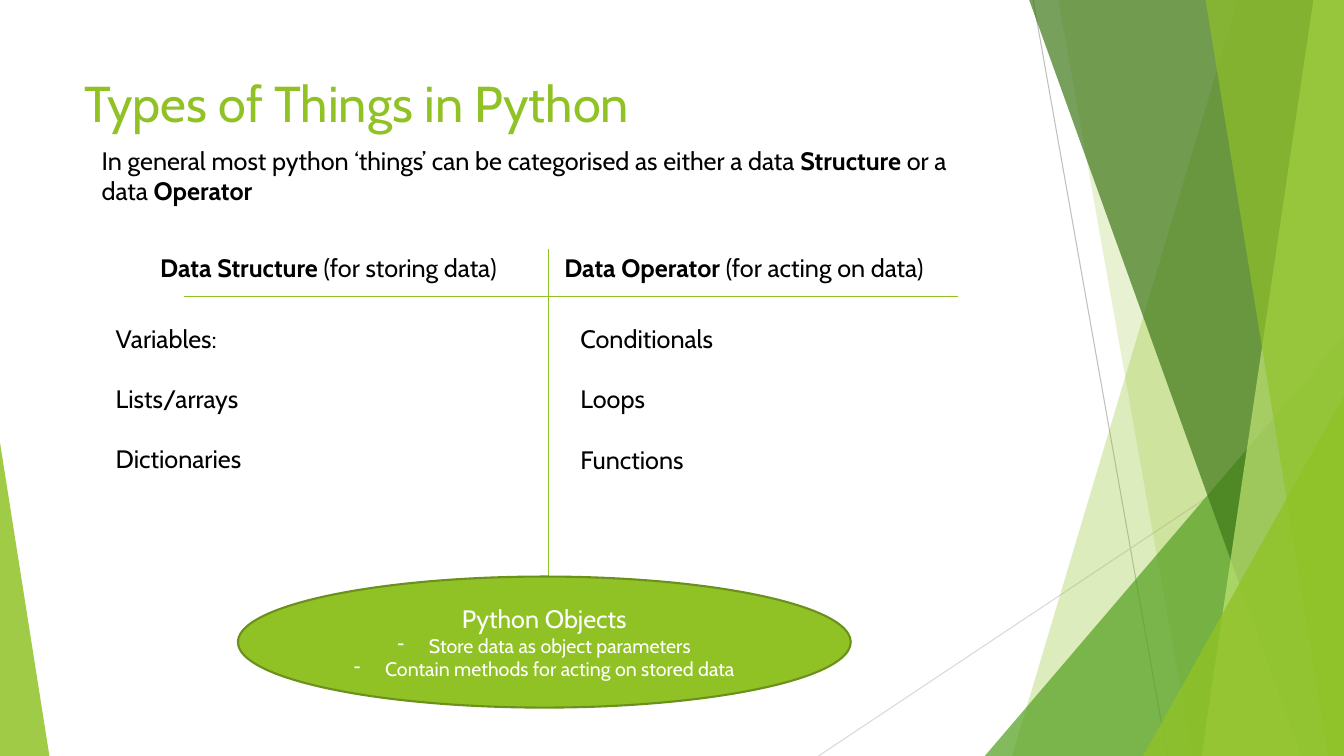
from dataclasses import dataclass

from lxml.etree import SubElement
from pptx import Presentation
from pptx.dml.color import RGBColor
from pptx.enum.shapes import MSO_CONNECTOR, MSO_SHAPE
from pptx.enum.text import MSO_ANCHOR, PP_ALIGN
from pptx.oxml.ns import qn
from pptx.util import Inches, Pt

COLUMNS, ROWS = 40, 30
WIDTH, HEIGHT = Inches(13.333), Inches(7.5)


@dataclass(frozen=True)
class Theme:
    font: str = "Cabin"
    lime: str = "90C226"
    green: str = "54A021"
    forest: str = "3F7819"
    pale: str = "C0E474"
    olive: str = "6B901C"
    grey: str = "BFBFBF"
    light_grey: str = "D9D9D9"
    black: str = "000000"
    white: str = "FFFFFF"
    title: float = 36
    body: float = 18
    detail: float = 14
    item_gap: float = 21.5


THEME = Theme()


def across(columns):
    return round(WIDTH * columns / COLUMNS)


def down(rows):
    return round(HEIGHT * rows / ROWS)


def frame(left, top, width, height):
    return across(left), down(top), across(width), down(height)


def paint(shape, color, opacity=100):
    shape.shadow.inherit = False
    shape.fill.solid()
    shape.fill.fore_color.rgb = RGBColor.from_string(color)
    shape.line.fill.background()
    if opacity < 100:
        tint = shape.fill._xPr.find(qn("a:solidFill"))[0]
        SubElement(tint, qn("a:alpha"), val=str(opacity * 1000))


def add_line(page, start, end, color, weight):
    line = page.shapes.add_connector(
        MSO_CONNECTOR.STRAIGHT, across(start[0]), down(start[1]), across(end[0]), down(end[1]))
    line.line.color.rgb = RGBColor.from_string(color)
    line.line.width = Pt(weight)
    SubElement(line._element.spPr, qn("a:effectLst"))


def add_veil(page, top_left, bottom_left, color, opacity):
    """Fill from a slanted left edge to the right side of the slide."""
    outline = page.shapes.build_freeform(across(top_left), 0)
    outline.add_line_segments(
        [(WIDTH, 0), (WIDTH, HEIGHT), (across(bottom_left), HEIGHT)], close=True)
    paint(outline.convert_to_shape(), color, opacity)


def add_corner(page, left, top, width, apex, color, opacity):
    """Draw a triangle that stands on the bottom edge of the slide."""
    corner = page.shapes.add_shape(
        MSO_SHAPE.ISOSCELES_TRIANGLE, *frame(left, top, width, ROWS - top))
    corner.adjustments[0] = apex
    paint(corner, color, opacity)


def add_span(para, text, size, color, bold=False):
    span = para.add_run()
    span.text = text
    span.font.name = THEME.font
    span.font.size = Pt(size)
    span.font.bold = bold
    span.font.color.rgb = RGBColor.from_string(color)


def add_text(page, place, paragraphs, gap=0):
    """Each paragraph is a list of (text, bold) pairs."""
    box = page.shapes.add_textbox(*frame(*place))
    box.text_frame.word_wrap = True
    for index, spans in enumerate(paragraphs):
        para = box.text_frame.add_paragraph() if index else box.text_frame.paragraphs[0]
        para.space_before = Pt(gap if index else 0)
        for text, bold in spans:
            add_span(para, text, THEME.body, THEME.black, bold)


def add_items(page, place, items):
    add_text(page, place, [[(item, False)] for item in items], THEME.item_gap)


def add_dash(para):
    properties = para._p.get_or_add_pPr()
    indent = Inches(0.31)
    properties.set("marL", str(indent))
    properties.set("indent", str(-indent))
    SubElement(properties, qn("a:buChar"), char="-")


def add_summary(page, place, heading, points):
    oval = page.shapes.add_shape(MSO_SHAPE.OVAL, *frame(*place))
    paint(oval, THEME.lime)
    oval.line.color.rgb = RGBColor.from_string(THEME.olive)
    oval.line.width = Pt(1.5)
    text = oval.text_frame
    text.word_wrap = True
    text.vertical_anchor = MSO_ANCHOR.MIDDLE
    text.paragraphs[0].alignment = PP_ALIGN.CENTER
    add_span(text.paragraphs[0], heading, THEME.body, THEME.white)
    for point in points:
        para = text.add_paragraph()
        para.alignment = PP_ALIGN.CENTER
        add_dash(para)
        add_span(para, point, THEME.detail, THEME.white)


def set_title(page, place, text):
    title = page.shapes.title
    title.left, title.top, title.width, title.height = frame(*place)
    title.text_frame.word_wrap = True
    title.text_frame.vertical_anchor = MSO_ANCHOR.TOP
    para = title.text_frame.paragraphs[0]
    para.alignment = PP_ALIGN.LEFT
    add_span(para, text, THEME.title, THEME.lime)


def add_backdrop(page):
    add_line(page, (30.75, 0), (34.74, ROWS), THEME.grey, 0.75)
    add_line(page, (COLUMNS, 16.12), (24.36, ROWS), THEME.light_grey, 0.75)
    add_veil(page, 36.84, 30.12, THEME.lime, 30)
    add_veil(page, 31.5, 35.49, THEME.lime, 20)
    add_corner(page, 29.31, 13.32, 10.69, 1, THEME.green, 72)
    add_veil(page, 30.63, 38.73, THEME.forest, 70)
    add_veil(page, 39.09, 35.76, THEME.pale, 70)
    add_veil(page, 35.88, 39.54, THEME.lime, 65)
    add_corner(page, 34.02, 15.72, 5.98, 1, THEME.lime, 80)
    add_corner(page, 0, 17.56, 1.47, 0, THEME.lime, 85)


def main():
    deck = Presentation()
    deck.slide_width, deck.slide_height = WIDTH, HEIGHT
    page = deck.slides.add_slide(deck.slide_layouts[5])
    add_backdrop(page)
    set_title(page, (2.22, 2.68, 28.2, 5.76), "Types of Things in Python")
    add_line(page, (16.32, 9.88), (16.32, 23.4), THEME.lime, 1)
    add_line(page, (5.49, 11.76), (28.5, 11.76), THEME.lime, 1)
    add_text(page, (2.73, 5.56, 28.77, 2.84), [
        [("In general most python ‘things’ can be categorised as either a data ", False),
         ("Structure", True), (" or a", False)],
        [("data ", False), ("Operator", True)],
    ])
    add_text(page, (4.47, 9.8, 11.85, 1.6),
             [[("Data Structure ", True), ("(for storing data)", False)]])
    add_text(page, (16.5, 9.8, 12.45, 1.6),
             [[("Data Operator ", True), ("(for acting on data)", False)]])
    add_items(page, (3.15, 12.64, 4.62, 1.6), ["Variables:"])
    add_items(page, (3.15, 15, 4.62, 4.04), ["Lists/arrays", "Dictionaries"])
    add_items(page, (16.98, 12.64, 4.77, 6.48), ["Conditionals", "Loops", "Functions"])
    add_summary(page, (7.08, 22.88, 18.24, 5.2), "Python Objects",
                ["Store data as object parameters", "Contain methods for acting on stored data"])
    deck.save("out.pptx")


if __name__ == "__main__":
    main()
